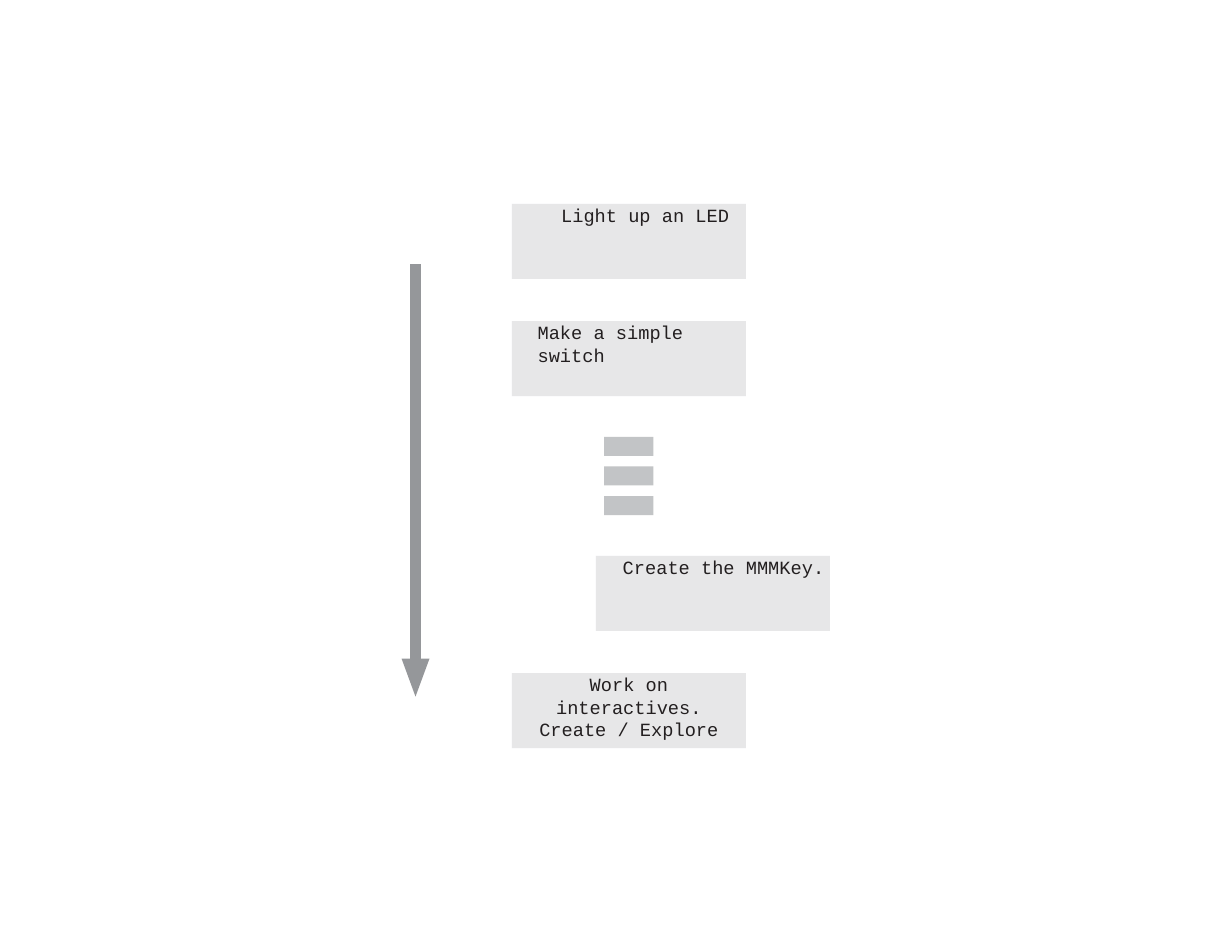
from pptx import Presentation, util as u
from pptx.dml.color import RGBColor
from pptx.enum import shapes, text
from lxml import etree

BOX_GRAY = RGBColor(0xE7, 0xE7, 0xE8)
BAR_GRAY = RGBColor(0xC2, 0xC4, 0xC6)
ARROW_GRAY = RGBColor(0x95, 0x97, 0x9A)
INK = RGBColor(0x23, 0x1F, 0x20)
DRAWING_NS = "http://schemas.openxmlformats.org/drawingml/2006/main"

# Step grid in inches: five evenly spaced rows, columns for the side offset
LEFT, TOP = 4.57, 1.82
COLUMN, ROW = 0.75, (6.01 - 1.82) / 4
STEP_WIDTH, STEP_HEIGHT = 2.09, 0.67


class FlowSlide:
    font_name = "Courier New"
    font_size = u.Pt(12)
    line_spacing = u.Pt(14.4)

    def __init__(self, slide):
        self.slide = slide

    def block(self, left, top, width, height, color):
        block = self.slide.shapes.add_shape(
            shapes.MSO_SHAPE.RECTANGLE,
            *(u.Inches(n) for n in (left, top, width, height)))
        self.paint(block, color)
        return block

    def paint(self, shape, color):
        shape.shadow.inherit = False
        shape.fill.solid()
        shape.fill.fore_color.rgb = color
        shape.line.fill.background()

    def step(self, column, row, wording, indent=0):
        """Place a step on the grid; a step without indent is centred."""
        box = self.block(LEFT + column * COLUMN, TOP + row * ROW,
                         STEP_WIDTH, STEP_HEIGHT, BOX_GRAY)
        frame = box.text_frame
        frame.word_wrap = True
        frame.vertical_anchor = text.MSO_ANCHOR.TOP
        frame.margin_left = frame.margin_right = 0
        frame.margin_top = frame.margin_bottom = 0
        frame.text = wording
        for paragraph in frame.paragraphs:
            if indent:
                paragraph.alignment = text.PP_ALIGN.LEFT
                paragraph._p.get_or_add_pPr().set("marL", str(u.Inches(indent)))
            else:
                paragraph.alignment = text.PP_ALIGN.CENTER
            paragraph.line_spacing = self.line_spacing
            for run in paragraph.runs:
                run.font.name = self.font_name
                run.font.size = self.font_size
                run.font.color.rgb = INK

    def down_arrow(self, x, top, shaft_end, head_top, tip, head_width):
        shaft = self.slide.shapes.add_connector(
            shapes.MSO_CONNECTOR.STRAIGHT,
            u.Inches(x), u.Inches(top), u.Inches(x), u.Inches(shaft_end))
        shaft.line.color.rgb = ARROW_GRAY
        shaft.line.width = u.Pt(7)
        etree.SubElement(shaft._element.spPr, f"{{{DRAWING_NS}}}effectLst")

        # Freeform points are whole numbers, so they are given in EMU
        half = head_width / 2
        corners = [(u.Inches(across), u.Inches(down)) for across, down in
                   ((x + half, head_top), (x - half, head_top), (x, tip))]
        outline = self.slide.shapes.build_freeform(*corners[0])
        outline.add_line_segments(corners[1:], close=True)
        self.paint(outline.convert_to_shape(), ARROW_GRAY)


def main():
    deck = Presentation()
    deck.slide_width, deck.slide_height = u.Inches(11), u.Inches(8.5)
    flow = FlowSlide(deck.slides.add_slide(deck.slide_layouts[6]))

    # Direction of progress
    flow.down_arrow(3.71, top=2.36, shaft_end=6.02,
                    head_top=5.88, tip=6.22, head_width=0.25)

    # First steps
    flow.step(0, 0, "Light up an LED", indent=0.44)
    flow.step(0, 1, "Make a simple switch", indent=0.23)

    # Steps left out, centred under the boxes
    bar_width, bar_height, bar_pitch = 0.44, 0.17, 0.265
    bar_left = LEFT + (STEP_WIDTH - bar_width) / 2
    for index in range(3):
        flow.block(bar_left, 3.9 + index * bar_pitch,
                   bar_width, bar_height, BAR_GRAY)

    # Last steps
    flow.step(1, 3, "Create the MMMKey.", indent=0.24)
    flow.step(0, 4, "Work on interactives.\nCreate / Explore")

    deck.save("out.pptx")


if __name__ == "__main__":
    main()
